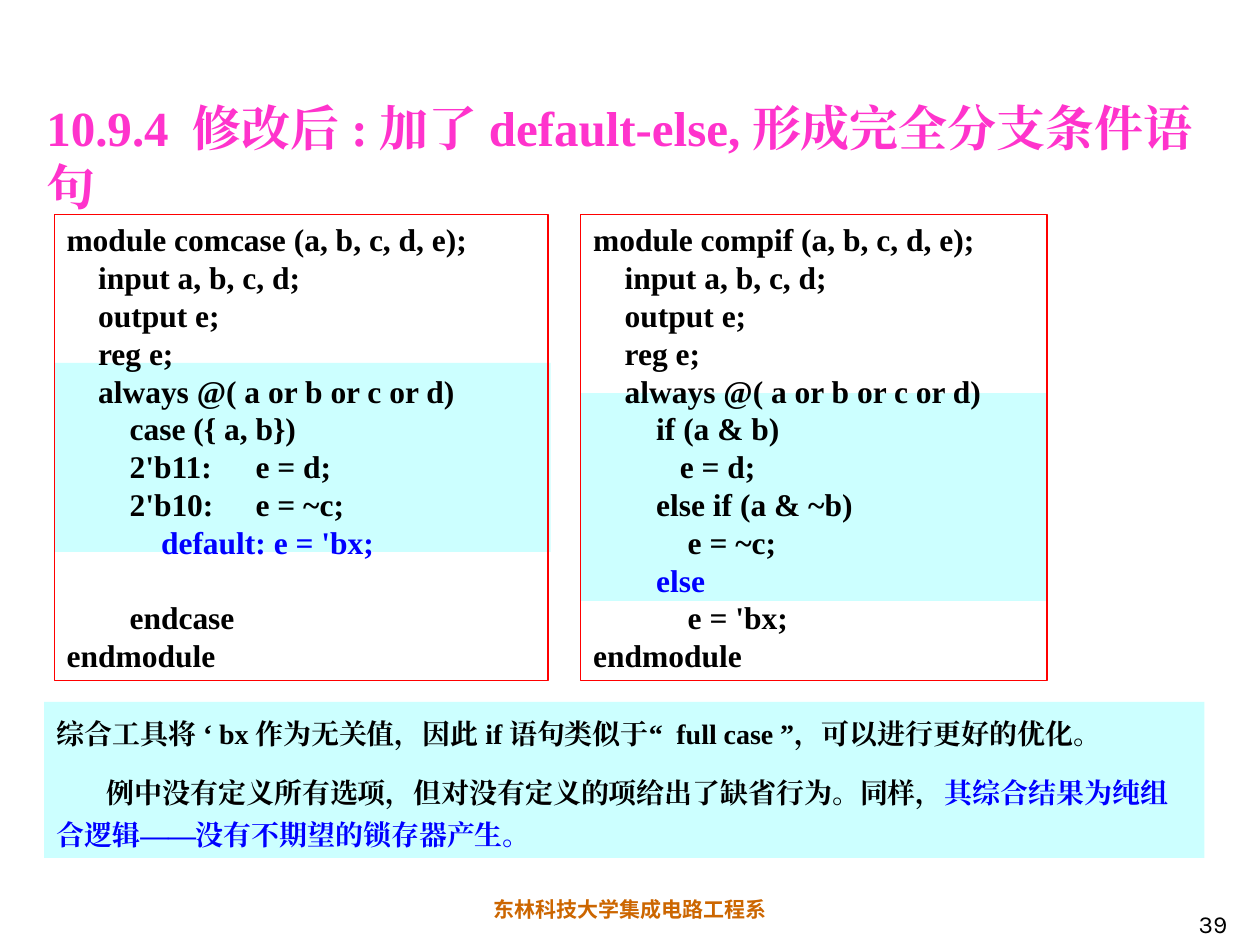
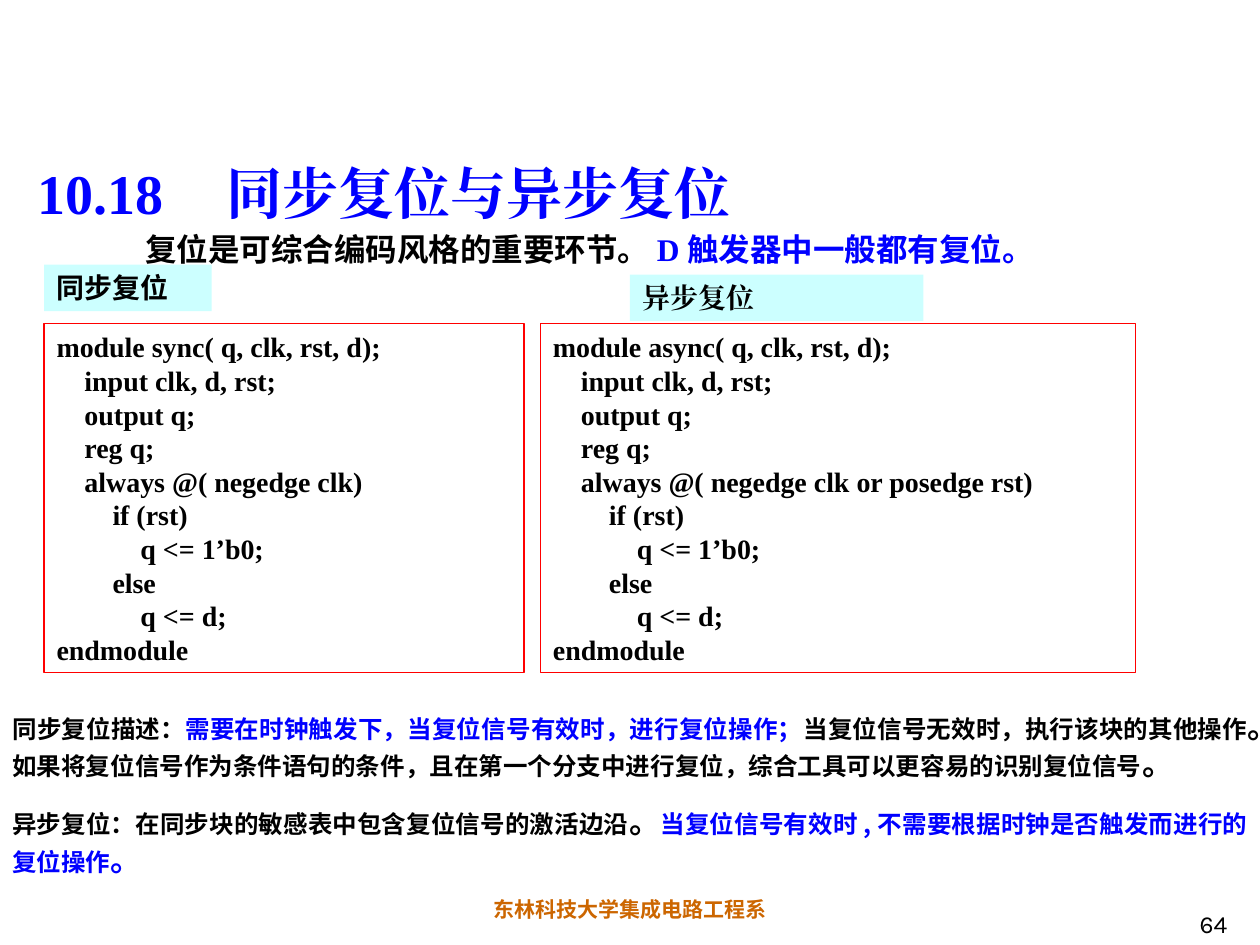
"""Build two slides on complete branches and on reset styles in Verilog."""
from dataclasses import dataclass

from lxml import etree
from pptx import Presentation
from pptx.dml.color import RGBColor
from pptx.enum.shapes import MSO_SHAPE
from pptx.enum.text import MSO_ANCHOR, PP_ALIGN
from pptx.oxml.ns import qn
from pptx.shapes.autoshape import Shape
from pptx.slide import Slide
from pptx.util import Inches, Pt

LEFT, CENTER, RIGHT, JUSTIFY = PP_ALIGN.LEFT, PP_ALIGN.CENTER, PP_ALIGN.RIGHT, PP_ALIGN.JUSTIFY
TOP, BOTTOM = MSO_ANCHOR.TOP, MSO_ANCHOR.BOTTOM
RECTANGLE = MSO_SHAPE.RECTANGLE

BLACK = RGBColor(0x00, 0x00, 0x00)
BLUE = RGBColor(0x00, 0x00, 0xFF)
PINK = RGBColor(0xFF, 0x33, 0xCC)
RED = RGBColor(0xFF, 0x00, 0x00)
ORANGE = RGBColor(0xCC, 0x66, 0x00)
PALE_CYAN = RGBColor(0xCC, 0xFF, 0xFF)

SERIF = "Times New Roman"
SANS = "Karla"
CHINESE = "Noto Sans CJK SC"
LINE_RATIO = 1.2
FOOTER = "东林科技大学集成电路工程系"


@dataclass(frozen=True)
class Box:
    """Position and size in inches."""
    left: float
    top: float
    width: float
    height: float

    def lengths(self) -> tuple:
        """Return the four values as lengths."""
        return tuple(Inches(value) for value in (self.left, self.top, self.width, self.height))


@dataclass(frozen=True)
class Span:
    """Text with one set of character properties."""
    text: str
    size: float
    font: str = SERIF
    color: RGBColor = BLACK
    bold: bool = True


@dataclass(frozen=True)
class Block:
    """Paragraph with its layout; tab stops and indents are in inches."""
    spans: tuple[Span, ...]
    align: PP_ALIGN = LEFT
    line_ratio: float = LINE_RATIO
    space_before: float = 0
    margin: float = 0
    first_indent: float = 0
    tabs: tuple[float, ...] = ()


@dataclass(frozen=True)
class Code:
    """Line of code, indented by a number of columns."""
    columns: int
    text: str
    color: RGBColor = BLACK
    gap_before: bool = False
    tabs: tuple[float, ...] = ()


def write_blocks(shape: Shape, blocks: list[Block], anchor: MSO_ANCHOR = TOP) -> None:
    """Fill a shape with paragraphs."""
    frame = shape.text_frame
    frame.word_wrap = True
    frame.vertical_anchor = anchor
    for index, block in enumerate(blocks):
        paragraph = frame.add_paragraph() if index else frame.paragraphs[0]
        paragraph.alignment = block.align
        paragraph.line_spacing = Pt(block.line_ratio * max(span.size for span in block.spans))
        paragraph.space_before = Pt(block.space_before)
        properties = paragraph._p.get_or_add_pPr()
        properties.set("marL", str(Inches(block.margin)))
        properties.set("indent", str(Inches(block.first_indent)))
        if block.tabs:
            tab_list = etree.SubElement(properties, qn("a:tabLst"))
            for position in block.tabs:
                etree.SubElement(tab_list, qn("a:tab"), pos=str(Inches(position)), algn="l")
        for span in block.spans:
            run = paragraph.add_run()
            run.text = span.text
            run.font.size = Pt(span.size)
            run.font.bold = span.bold
            run.font.color.rgb = span.color
            run.font.name = span.font
            etree.SubElement(run._r.get_or_add_rPr(), qn("a:ea"), typeface=span.font)


def add_text(slide: Slide, box: Box, blocks: list[Block], anchor: MSO_ANCHOR = TOP) -> None:
    """Add a text box."""
    write_blocks(slide.shapes.add_textbox(*box.lengths()), blocks, anchor)


def add_rectangle(slide: Slide, box: Box, fill: RGBColor | None = None,
                  line: RGBColor | None = None) -> Shape:
    """Add a rectangle with an optional fill and outline."""
    shape = slide.shapes.add_shape(RECTANGLE, *box.lengths())
    shape.shadow.inherit = False
    if fill is None:
        shape.fill.background()
    else:
        shape.fill.solid()
        shape.fill.fore_color.rgb = fill
    if line is None:
        shape.line.fill.background()
    else:
        shape.line.color.rgb = line
        shape.line.width = Pt(0.75)
    return shape


def add_panel(slide: Slide, box: Box, blocks: list[Block]) -> None:
    """Add a pale panel with text."""
    write_blocks(add_rectangle(slide, box, fill=PALE_CYAN), blocks)


def add_code(slide: Slide, box: Box, lines: list[Code], size: float) -> None:
    """Add a red frame with a code listing; a column is a quarter of the text size."""
    blocks = [Block((Span(line.text, size, color=line.color),),
                    space_before=LINE_RATIO * size if line.gap_before else 0,
                    margin=line.columns * size / 4 / 72, tabs=line.tabs)
              for line in lines]
    write_blocks(add_rectangle(slide, box, line=RED), blocks)


def add_title(slide: Slide, box: Box, text: str, size: float, color: RGBColor,
              tabs: tuple[float, ...] = ()) -> None:
    """Add a title that stands on the bottom of its box."""
    add_text(slide, box, [Block((Span(text, size, color=color),), tabs=tabs)], BOTTOM)


def add_footer(slide: Slide, number: int) -> None:
    """Add the department name and the slide number."""
    add_text(slide, Box(0, 7.07, 10, 0.3), [Block((Span(FOOTER, 12, SANS, ORANGE),), CENTER)])
    add_text(slide, Box(7.76, 7, 2.08, 0.5),
             [Block((Span(str(number), 14, SANS, bold=False),), RIGHT)], BOTTOM)


def branch_module(name: str, body: list[Code]) -> list[Code]:
    """Return a module with complete branches."""
    return [Code(0, f"module {name} (a, b, c, d, e);"), Code(4, "input a, b, c, d;"),
            Code(4, "output e;"), Code(4, "reg e;"), Code(4, "always @( a or b or c or d)"),
            *body, Code(0, "endmodule")]


def reset_module(name: str, events: str) -> list[Code]:
    """Return a flip-flop module that is triggered by the given events."""
    return [Code(0, f"module {name}( q, clk, rst, d);"), Code(4, "input clk, d, rst;"),
            Code(4, "output q;"), Code(4, "reg q;"), Code(4, f"always @( {events})"),
            Code(8, "if (rst)"), Code(12, "q <= 1’b0;"), Code(8, "else"),
            Code(12, "q <= d;"), Code(0, "endmodule")]


def build_branch_slide(slide: Slide) -> None:
    """Draw the slide on complete branches."""
    add_footer(slide, 39)
    add_rectangle(slide, Box(4.61, 3.12, 3.7, 1.65), fill=PALE_CYAN)
    add_rectangle(slide, Box(0.43, 2.88, 3.94, 1.5), fill=PALE_CYAN)
    add_title(slide, Box(0.27, 0.6, 9.37, 1.16),
              "10.9.4 修改后:加了default-else,形成完全分支条件语句", 28, PINK)
    case_tabs = (0.75, 1.65)
    case_body = [Code(8, "case ({ a, b})"),
                 Code(0, "\t2'b11:\te = d;", tabs=case_tabs),
                 Code(0, "\t2'b10:\te = ~c;", tabs=case_tabs),
                 Code(12, "default: e = 'bx;", BLUE),
                 Code(8, "endcase", gap_before=True)]
    if_body = [Code(8, "if (a & b)"), Code(11, "e = d;"), Code(8, "else if (a & ~b)"),
               Code(12, "e = ~c;"), Code(8, "else", BLUE), Code(12, "e = 'bx;")]
    add_code(slide, Box(0.43, 1.7, 3.92, 3.7), branch_module("comcase", case_body), 18)
    add_code(slide, Box(4.61, 1.7, 3.7, 3.7), branch_module("compif", if_body), 18)
    add_panel(slide, Box(0.35, 5.57, 9.21, 1.24), [
        Block((Span("综合工具将 ‘bx作为无关值，因此if语句类似于“ full case”，可以进行更好的优化。", 16),),
              line_ratio=1.5),
        Block((Span("例中没有定义所有选项，但对没有定义的项给出了缺省行为。同样，", 16),
               Span("其综合结果为纯组合逻辑——没有不期望的锁存器产生。", 16, color=BLUE)),
              line_ratio=1.5, space_before=10, first_indent=0.4)])


def build_reset_slide(slide: Slide) -> None:
    """Draw the slide on synchronous and asynchronous reset."""
    add_footer(slide, 64)
    add_title(slide, Box(0.2, 0.84, 8.5, 1), "10.18\t同步复位与异步复位", 32, BLUE, (1.33,))
    add_text(slide, Box(0.43, 1.78, 8.5, 0.4), [
        Block((Span("复位是可综合编码风格的重要环节。", 18, CHINESE), Span("D", 18, color=BLUE),
               Span("触发器中一般都有复位。", 18, CHINESE, BLUE)), CENTER)])
    add_code(slide, Box(0.35, 2.57, 3.81, 2.77), reset_module("sync", "negedge clk"), 16)
    add_code(slide, Box(4.29, 2.57, 4.72, 2.77),
             reset_module("async", "negedge clk or posedge rst"), 16)
    add_panel(slide, Box(0.35, 2.1, 1.33, 0.37), [Block((Span("同步复位", 16, SANS),))])
    add_panel(slide, Box(5, 2.18, 2.33, 0.37), [Block((Span("异步复位", 16),))])
    full_stop = Span("。", 18, SANS)
    add_text(slide, Box(0, 5.56, 10, 1.46), [
        Block((Span("同步复位描述：", 14, CHINESE),
               Span("需要在时钟触发下，当复位信号有效时，进行复位操作；", 14, CHINESE, BLUE),
               Span("当复位信号无效时，执行该块的其他操作", 14, CHINESE), full_stop,
               Span("如果将复位信号作为条件语句的条件，且在第一个分支中进行复位，"
                    "综合工具可以更容易的识别复位信号", 14, CHINESE), full_stop), JUSTIFY),
        Block((Span("异步复位：在同步块的敏感表中包含复位信号的激活边沿", 14, CHINESE), full_stop,
               Span("当复位信号有效时,不需要根据时钟是否触发而进行的复位操作", 14, CHINESE, BLUE),
               Span("。", 18, SANS, BLUE)), JUSTIFY, space_before=11.2)])


def main() -> None:
    """Build and save the presentation."""
    presentation = Presentation()
    presentation.slide_width = Inches(10)
    presentation.slide_height = Inches(7.5)
    for build in (build_branch_slide, build_reset_slide):
        build(presentation.slides.add_slide(presentation.slide_layouts[6]))
    presentation.save("out.pptx")


if __name__ == "__main__":
    main()
